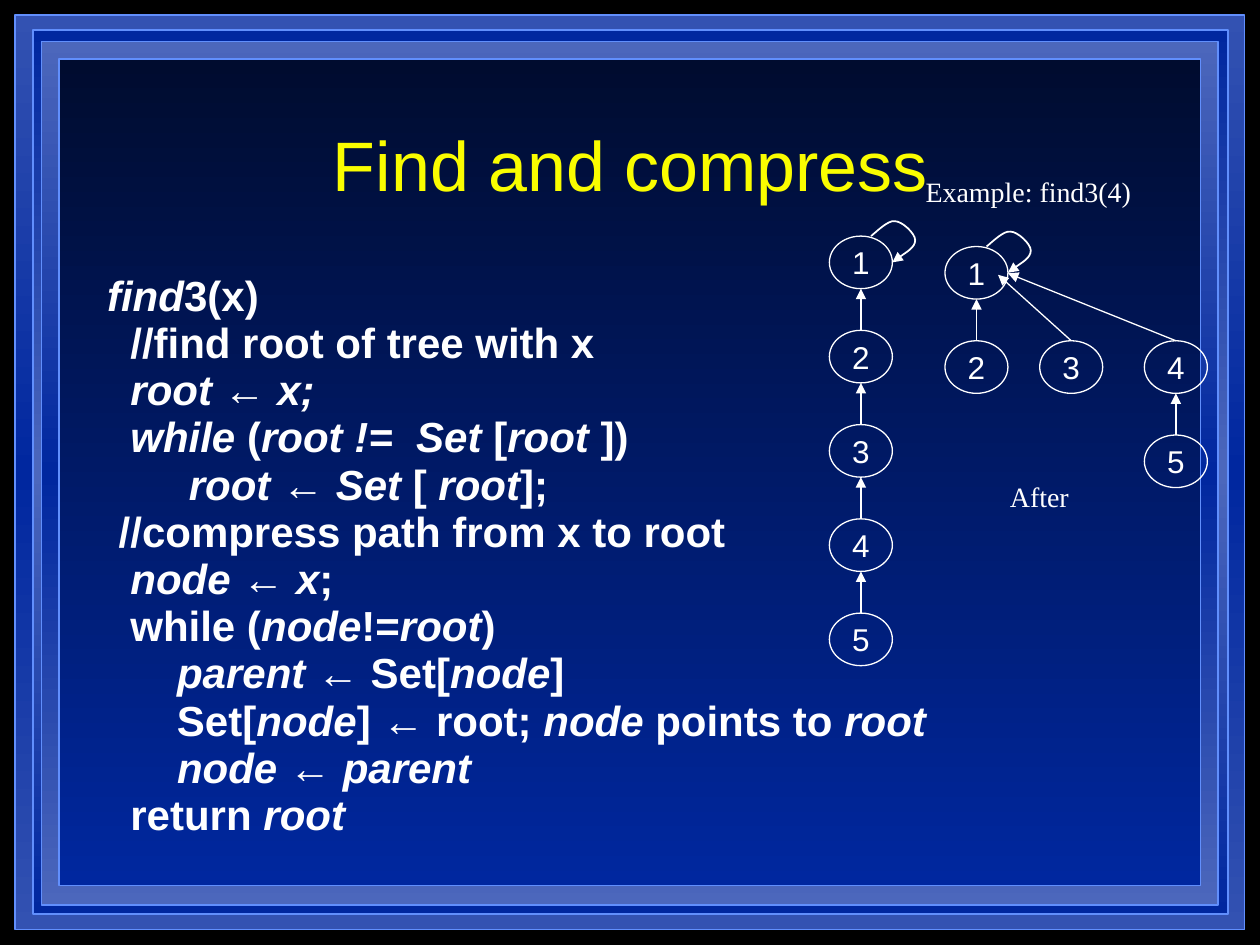
import copy

import pptx
import pptx.dml.color
import pptx.enum.shapes
import pptx.enum.text
import pptx.oxml
import pptx.oxml.ns
import pptx.util

Cm, Pt = pptx.util.Cm, pptx.util.Pt
Kind = pptx.enum.shapes.MSO_SHAPE
Align = pptx.enum.text.PP_ALIGN
Mid = pptx.enum.text.MSO_ANCHOR.MIDDLE
qn = pptx.oxml.ns.qn


def rgb(code):
    return pptx.dml.color.RGBColor.from_string(code)


def put(item, **vals):
    for key, val in vals.items():
        setattr(item, key, val)


deck = pptx.Presentation()
put(deck, slide_width=Cm(25.4), slide_height=Cm(19.05))
slide = deck.slides.add_slide(deck.slide_layouts[6])
shapes = slide.shapes
slide.background.fill.solid()
slide.background.fill.fore_color.rgb = rgb("000000")
white = rgb("FFFFFF")

# Nested frames with vertical gradients
frames = [
    (0.3, 0.3, 24.79, 18.44, ["3352B2", "00279F", "3352B2"]),
    (0.66, 0.61, 24.1, 17.81, ["00279F", "4C67BC", "00279F"]),
    (0.84, 0.84, 23.72, 17.4, ["4C67BC", "00279F", "4C67BC"]),
    (1.19, 1.19, 23.01, 16.66, ["000C2F", "00279F"]),
]
for left, top, wide, high, tones in frames:
    frame = shapes.add_shape(Kind.RECTANGLE, Cm(left), Cm(top), Cm(wide), Cm(high))
    frame.shadow.inherit = False
    frame.fill.gradient()
    frame.fill.gradient_angle = 270
    if len(tones) == 3:
        stops = frame.element.xpath(".//a:gsLst")[0]
        stops.append(copy.deepcopy(stops[-1]))
    for num, (stop, tone) in enumerate(zip(frame.fill.gradient_stops, tones)):
        stop.color.rgb = rgb(tone)
        stop.position = num / (len(tones) - 1)
    frame.line.color.rgb = rgb("618FFD")
    frame.line.width = Pt(1)

# Title and labels
labels = [
    ("Find and compress", 1.91, 1.7, 21.59, 3.18, "FAFD00",
     {"name": "Arial", "size": Pt(40)}, Align.CENTER),
    ("Example: find3(4)", 18.41, 3.39, 5.43, 0.94, "FFFFFF",
     {"name": "Times New Roman", "size": Pt(16)}, Align.LEFT),
    ("After", 20.11, 9.53, 3.12, 0.94, "FFFFFF",
     {"name": "Times New Roman", "size": Pt(16)}, Align.LEFT),
]
for words, left, top, wide, high, tone, form, align in labels:
    box = shapes.add_textbox(Cm(left), Cm(top), Cm(wide), Cm(high))
    put(box.text_frame, word_wrap=True, vertical_anchor=Mid, text=words)
    para = box.text_frame.paragraphs[0]
    para.alignment = align
    put(para.font, **form)
    para.font.color.rgb = rgb(tone)

# Code, with italic parts between asterisks
code = [
    "*find*3(x)",
    "  //find root of tree with x",
    "  *root *← *x;*",
    "*  while *(*root !=  Set *[*root *])",
    "       *root *← *Set* [ *root*];",
    " //compress path from x to root",
    "  *node *← *x*;",
    "  while (*node*!=*root*)",
    "      *parent *← Set[*node*]",
    "      Set[*node*] ← root; *node* points to *root*",
    "      *node *← *parent*",
    "  return *root*",
]
box = shapes.add_textbox(Cm(1.91), Cm(5.51), Cm(21.59), Cm(11.43))
put(box.text_frame, word_wrap=True, margin_top=Cm(0.2))
for num, line in enumerate(code):
    para = box.text_frame.paragraphs[0] if num == 0 else box.text_frame.add_paragraph()
    put(para, line_spacing=0.7, space_before=Pt(6.8 if num else 0))
    for part, words in enumerate(line.split("*")):
        if words:
            run = para.add_run()
            run.text = words
            put(run.font, name="Arial", size=Pt(24), bold=True, italic=part % 2 == 1)
            run.font.color.rgb = white

# Trees: node number, left, top, parent; a root has no parent
wide, high, step = 1.27, 1.06, 1.9
low = 4.97 + step
trees = [
    [(num, 16.72, 4.76 + step * (num - 1), num - 1) for num in range(1, 6)],
    [(1, 19.05, 4.97, 0), (2, 19.05, low, 1), (3, 20.96, low, 1),
     (4, 23.07, low, 1), (5, 23.07, low + step, 4)],
]
ends = {3: (20.12, 5.54), 4: (20.32, 5.51)}  # arrow tips of the slanted links
curve = [(0.84, 0), (0.94, -0.08), (1.19, -0.33), (1.32, -0.3), (1.47, -0.3),
         (1.73, -0.05), (1.73, 0.08), (1.73, 0.23), (1.35, 0.46), (1.27, 0.53)]
links = []
for tree in trees:
    spots = {}
    for num, left, top, up in tree:
        node = shapes.add_shape(Kind.OVAL, Cm(left), Cm(top), Cm(wide), Cm(high))
        node.shadow.inherit = False
        node.fill.background()
        node.line.color.rgb = white
        node.line.width = Pt(0.75)
        put(node.text_frame, text=str(num), word_wrap=False, vertical_anchor=Mid,
            margin_left=0, margin_right=0, margin_top=0, margin_bottom=0)
        para = node.text_frame.paragraphs[0]
        para.alignment = Align.CENTER
        put(para.font, name="Arial", size=Pt(18))
        para.font.color.rgb = white
        spots[num] = left, top

        if up:
            # Link from the child's top to its parent
            x, y = spots[up]
            tip = (x + wide / 2, y + high) if x == left else ends[num]
            link = shapes.add_connector(
                pptx.enum.shapes.MSO_CONNECTOR.STRAIGHT,
                Cm(left + wide / 2), Cm(top), Cm(tip[0]), Cm(tip[1]))
            link.begin_connect(node, 0)
            link.element.spPr.append(pptx.oxml.parse_xml(
                f'<a:effectLst {pptx.oxml.ns.nsdecls("a")}/>'))
            links.append((link, 0.75))
        else:
            # Loop from the root to itself: each three points form one curve
            dots = [(Cm(left + x), Cm(top + y)) for x, y in curve]
            pen = shapes.build_freeform(*dots[0])
            pen.add_line_segments(dots[1:], close=False)
            loop = pen.convert_to_shape()
            loop.shadow.inherit = False
            loop.fill.background()
            lines = loop.element.xpath(".//a:lnTo")
            for first in range(0, len(lines), 3):
                bend = lines[first].getparent().makeelement(qn("a:cubicBezTo"))
                lines[first].addprevious(bend)
                for seg in lines[first:first + 3]:
                    bend.append(seg[0])
                    seg.getparent().remove(seg)
            links.append((loop, 1))

# Line style and arrowheads
for link, thick in links:
    link.line.color.rgb = white
    link.line.width = Pt(thick)
    line = link.element.xpath(".//a:ln")[0]
    line.append(line.makeelement(qn("a:tailEnd"), {"type": "triangle"}))

deck.save("out.pptx")
